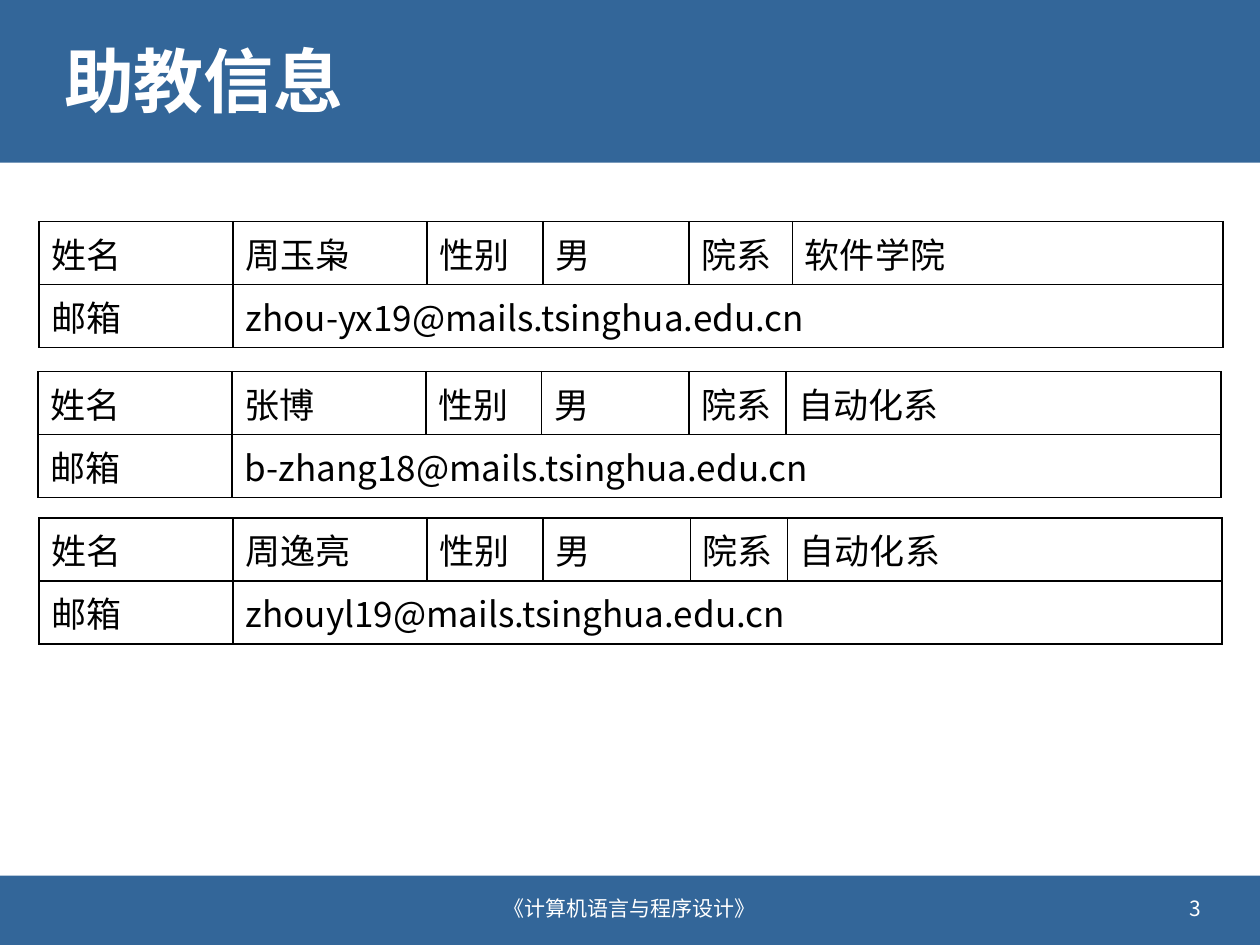
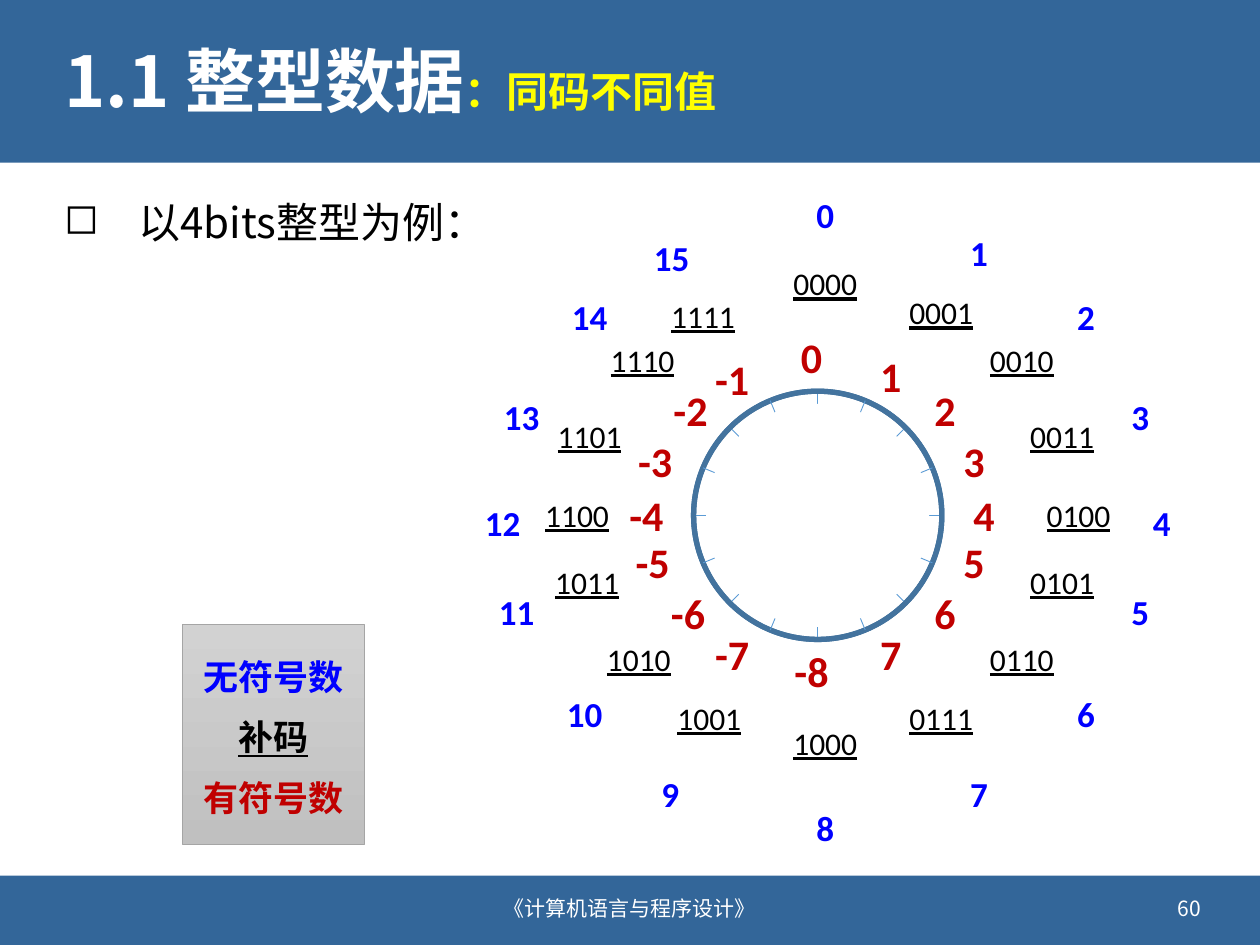
import math

import pptx
import pptx.dml.color
import pptx.enum.shapes
import pptx.enum.text
import pptx.oxml
import pptx.oxml.ns
import pptx.util

RGBColor = pptx.dml.color.RGBColor
BLUE = RGBColor(0x33, 0x66, 0x99)
WHITE = RGBColor(0xFF, 0xFF, 0xFF)
BLACK = RGBColor(0, 0, 0)
YELLOW = RGBColor(0xFF, 0xFF, 0)
UNSIGNED_BLUE = RGBColor(0, 0, 0xFF)
SIGNED_RED = RGBColor(0xC0, 0, 0)
RING_BLUE = RGBColor(0x43, 0x73, 0x9E)
SPOKE_BLUE = RGBColor(0x5B, 0x9B, 0xD5)
LIGHT_GREY = RGBColor(0xD2, 0xD2, 0xD2)
MID_GREY = RGBColor(0xC0, 0xC0, 0xC0)
EDGE_GREY = RGBColor(0xA5, 0xA5, 0xA5)

CJK = "Noto Sans CJK SC"
LATIN = "Calibri"
COLS, ROWS = 100, 75
SHAPE = pptx.enum.shapes.MSO_SHAPE
ALIGN = pptx.enum.text.PP_ALIGN
ANCHOR = pptx.enum.text.MSO_ANCHOR

TITLE = dict(size=40, bold=True, color=WHITE)
SUBTITLE = dict(size=24, bold=True, color=YELLOW)
FOOTER = dict(size=12, color=WHITE)
CELL = dict(size=20, color=BLACK)
BODY = dict(size=24, color=BLACK)
UNSIGNED = dict(size=20, bold=True, color=UNSIGNED_BLUE)
CODE = dict(size=18, underline=True, color=BLACK)
SIGNED = dict(size=24, bold=True, color=SIGNED_RED)

ASSISTANTS = [
    (3.1, 17.6, "周玉枭", "软件学院", "zhou-yx19@mails.tsinghua.edu.cn", (11.6, 8.2, 34.2)),
    (3, 29.5, "张博", "自动化系", "b-zhang18@mails.tsinghua.edu.cn", (11.7, 7.7, 34.5)),
    (3.1, 41.1, "周逸亮", "自动化系", "zhouyl19@mails.tsinghua.edu.cn", (11.7, 7.7, 34.5)),
]
UNSIGNED_SPOTS = [
    (65.5, 17.1), (77.7, 20.1), (86.2, 25.2), (90.5, 33.1),
    (92.2, 41.5), (90.5, 48.6), (86.2, 56.7), (77.7, 63),
    (65.5, 65.7), (53.2, 63), (46.4, 56.7), (41, 48.6),
    (39.9, 41.5), (41.4, 33.1), (46.8, 25.2), (53.3, 20.5),
]
CODE_SPOTS = [
    (65.5, 22.5), (74.7, 24.8), (81.1, 28.6), (84.3, 34.6),
    (85.6, 40.9), (84.3, 46.2), (81.1, 52.3), (74.7, 57),
    (65.5, 59), (56.3, 57), (50.7, 52.3), (46.6, 46.2),
    (45.8, 40.9), (46.8, 34.6), (51, 28.6), (55.8, 25.1),
]
SIGNED_SPOTS = [
    (64.4, 28.4), (70.7, 29.9), (75, 32.6), (77.3, 36.6),
    (78.1, 40.9), (77.3, 44.6), (75, 48.7), (70.7, 51.9),
    (64.4, 53.3), (58.1, 51.9), (54.6, 48.7), (51.8, 44.6),
    (51.3, 40.9), (52, 36.6), (54.8, 32.6), (58.1, 30.1),
]


class Deck:
    """Draws styled elements on the current slide, measured in grid columns and rows."""

    def __init__(self):
        self.prs = pptx.Presentation()
        self.prs.slide_width = pptx.util.Inches(10)
        self.prs.slide_height = pptx.util.Inches(7.5)
        self.s = None

    def x(self, cols):
        return round(self.prs.slide_width * cols / COLS)

    def y(self, rows):
        return round(self.prs.slide_height * rows / ROWS)

    def box(self, col, row, cols, rows):
        return self.x(col), self.y(row), self.x(cols), self.y(rows)

    def slide(self, title, number):
        self.s = self.prs.slides.add_slide(self.prs.slide_layouts[6])
        self.shape(SHAPE.RECTANGLE, (0, 0, COLS, 12.9), fill=BLUE)
        self.shape(SHAPE.RECTANGLE, (0, 69.5, COLS, 5.5), fill=BLUE)
        self.text((4.1, 1.8, 91.9, 9.9), title, anchor=ANCHOR.MIDDLE, line_spacing=0.9)
        self.text((32, 70.1, 36, 4), [("《计算机语言与程序设计》", FOOTER)],
                  anchor=ANCHOR.MIDDLE, alignment=ALIGN.CENTER)
        self.text((72.3, 70.1, 24, 4), [(number, FOOTER)],
                  anchor=ANCHOR.MIDDLE, alignment=ALIGN.RIGHT)

    def shape(self, kind, box, fill=None, line=None, width=0.5, turn=0):
        sp = self.s.shapes.add_shape(kind, *self.box(*box))
        sp.shadow.inherit = False
        sp.rotation = turn
        if isinstance(fill, tuple) and not isinstance(fill, RGBColor):
            sp.fill.gradient()
            sp.fill.gradient_angle = 270
            for stop, color in zip(sp.fill.gradient_stops, fill):
                stop.color.rgb = color
        elif fill is not None:
            sp.fill.solid()
            sp.fill.fore_color.rgb = fill
        else:
            sp.fill.background()
        if line is None:
            sp.line.fill.background()
        else:
            sp.line.color.rgb = line
            sp.line.width = pptx.util.Pt(width)

    def line(self, start, end, color, width):
        c = self.s.shapes.add_connector(
            pptx.enum.shapes.MSO_CONNECTOR.STRAIGHT,
            self.x(start[0]), self.y(start[1]), self.x(end[0]), self.y(end[1]))
        c.line.color.rgb = color
        c.line.width = pptx.util.Pt(width)
        c._element.spPr.append(pptx.oxml.parse_xml(
            f"<a:effectLst {pptx.oxml.ns.nsdecls('a')}/>"))

    def add_runs(self, p, runs, font=CJK):
        for words, style in runs:
            r = p.add_run()
            r.text = words
            values = dict(style, name=font, size=pptx.util.Pt(style["size"]))
            r.font.color.rgb = values.pop("color")
            for key, value in values.items():
                setattr(r.font, key, value)
            r._r.get_or_add_rPr().append(pptx.oxml.parse_xml(
                f'<a:ea {pptx.oxml.ns.nsdecls("a")} typeface="{font}"/>'))

    def text(self, box, runs, font=CJK, wrap=True, anchor=ANCHOR.TOP, bullet=None, **para):
        tf = self.s.shapes.add_textbox(*self.box(*box)).text_frame
        tf.word_wrap = wrap
        tf.vertical_anchor = anchor
        p = tf.paragraphs[0]
        for key, value in para.items():
            setattr(p, key, value)
        if bullet:
            pPr = p._p.get_or_add_pPr()
            indent = self.x(5.9)
            pPr.set("marL", str(indent))
            pPr.set("indent", str(-indent))
            pPr.append(pptx.oxml.parse_xml(
                f'<a:buChar {pptx.oxml.ns.nsdecls("a")} char="{bullet}"/>'))
        self.add_runs(p, runs, font)

    def label(self, center, words, style):
        cols = 2 + 0.07 * style["size"] * len(words)
        rows = 1 + 0.17 * style["size"]
        self.text((center[0] - cols / 2, center[1] - rows / 2, cols, rows),
                  [(words, style)], font=LATIN, wrap=False, alignment=ALIGN.CENTER)

    def table(self, col, row, widths, rows, row_height):
        box = self.box(col, row, sum(widths), row_height * len(rows))
        tb = self.s.shapes.add_table(len(rows), len(widths), *box).table
        tb.first_row = tb.horz_banding = False
        for column, width in zip(tb.columns, widths):
            column.width = self.x(width)
        for i, words in enumerate(rows):
            for j in range(len(widths)):
                cell = tb.cell(i, j)
                self.border(cell)
                cell.fill.solid()
                cell.fill.fore_color.rgb = WHITE
                cell.vertical_anchor = ANCHOR.MIDDLE
                if j < len(words):
                    self.add_runs(cell.text_frame.paragraphs[0], [(words[j], CELL)])
            if len(words) < len(widths):
                tb.cell(i, len(words) - 1).merge(tb.cell(i, len(widths) - 1))

    def border(self, cell):
        tcPr = cell._tc.get_or_add_tcPr()
        for side in "LRTB":
            tcPr.append(pptx.oxml.parse_xml(
                f'<a:ln{side} {pptx.oxml.ns.nsdecls("a")} w="12700"><a:solidFill>'
                f'<a:srgbClr val="{BLACK}"/></a:solidFill></a:ln{side}>'))


def assistants_slide(deck):
    deck.slide([("助教信息", TITLE)], "3")
    for col, row, name, school, mail, widths in ASSISTANTS:
        rows = [("姓名", name, "性别", "男", "院系", school), ("邮箱", mail)]
        deck.table(col, row, (15.4, 15.4, 9.2, *widths), rows, 5)


def integers_slide(deck):
    deck.slide([("1.1 整型数据", TITLE), ("：同码不同值", SUBTITLE)], "60")
    deck.shape(SHAPE.RECTANGLE, (14.5, 49.6, 14.4, 17.4),
               fill=(LIGHT_GREY, MID_GREY), line=EDGE_GREY)
    for k in range(16):
        deck.label(UNSIGNED_SPOTS[k], str(k), UNSIGNED)
        deck.label(CODE_SPOTS[k], f"{k:04b}", CODE)
        deck.label(SIGNED_SPOTS[k], str(k if k < 8 else k - 16), SIGNED)

    cx, cy, radius, hub = 64.9, 40.9, 9.85, 8.85
    for turn in (0, 22.5):
        deck.shape(SHAPE.OVAL, (cx - radius, cy - radius, 2 * radius, 2 * radius),
                   line=RING_BLUE, width=3, turn=turn)
        for i in range(4):
            angle = math.radians(turn + 45 * i)
            dx, dy = radius * math.cos(angle), radius * math.sin(angle)
            deck.line((cx - dx, cy - dy), (cx + dx, cy + dy), SPOKE_BLUE, 0.5)
    deck.shape(SHAPE.OVAL, (cx - hub, cy - hub, 2 * hub, 2 * hub), fill=WHITE)

    legend = [("无符号数", dict(UNSIGNED)),
              ("补码", dict(CODE, size=20, bold=True)),
              ("有符号数", dict(SIGNED, size=20))]
    for i, run in enumerate(legend):
        deck.text((15.1, 51.5 + 4.8 * i, 13.2, 4.4), [run], alignment=ALIGN.CENTER)
    deck.text((4.1, 14.7, 91.9, 5.7), [("以4bits整型为例：", BODY)],
              bullet="◻", line_spacing=1.1)


def main():
    deck = Deck()
    assistants_slide(deck)
    integers_slide(deck)
    deck.prs.save("out.pptx")


if __name__ == "__main__":
    main()
